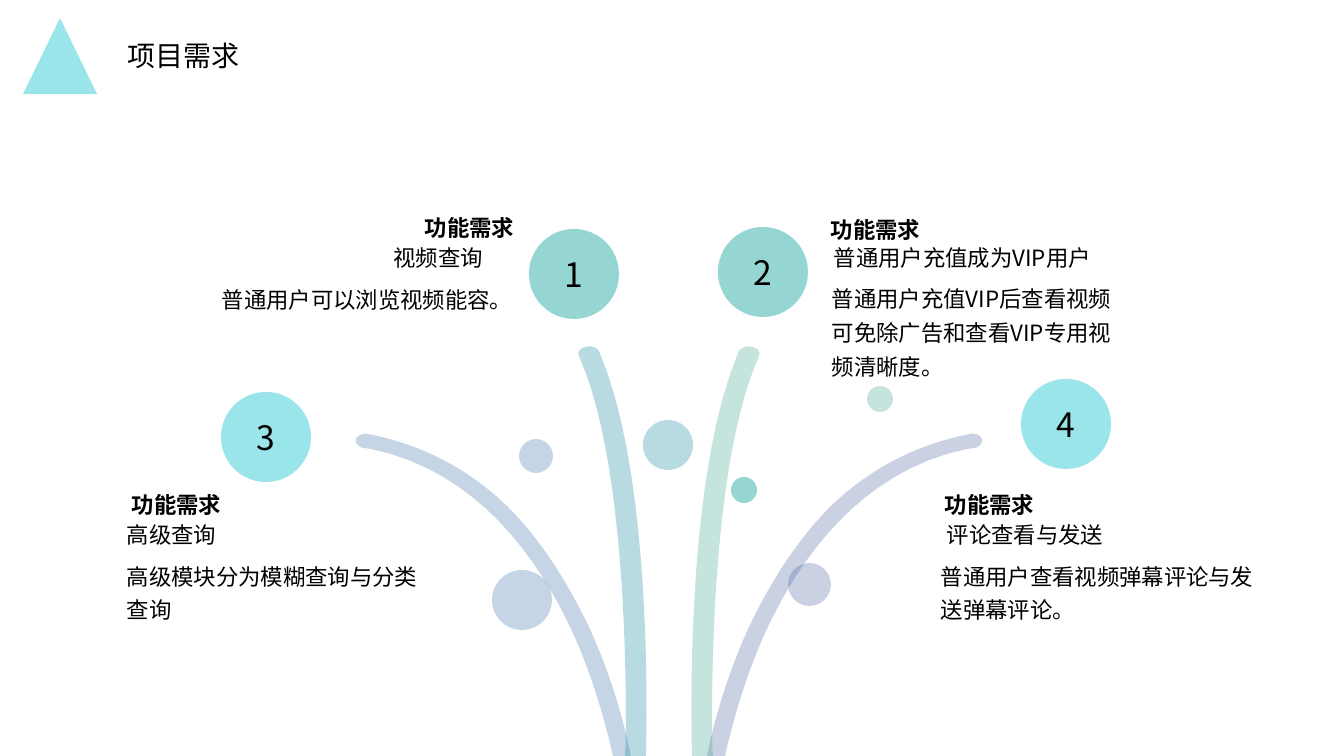
from lxml import etree
from pptx import Presentation
from pptx.dml.color import RGBColor
from pptx.enum.shapes import MSO_SHAPE
from pptx.enum.text import MSO_ANCHOR, MSO_AUTO_SIZE, PP_ALIGN
from pptx.oxml.ns import qn
from pptx.util import Pt

OVAL, TRIANGLE = MSO_SHAPE.OVAL, MSO_SHAPE.ISOSCELES_TRIANGLE
LEFT, CENTER, RIGHT = PP_ALIGN.LEFT, PP_ALIGN.CENTER, PP_ALIGN.RIGHT
TOP, MIDDLE = MSO_ANCHOR.TOP, MSO_ANCHOR.MIDDLE

PX = 914400 / 100.8
FONT = "Noto Sans CJK SC"
BLACK = RGBColor(0x00, 0x00, 0x00)
CYAN = RGBColor(0x9A, 0xE5, 0xE9)
MINT = RGBColor(0x96, 0xD6, 0xD2)
RIM = RGBColor(0xA4, 0xE2, 0xFE)
BLUE = RGBColor(0x42, 0x76, 0xAA)
INDIGO = RGBColor(0x52, 0x68, 0xA5)
TEAL = RGBColor(0x17, 0x8A, 0xA1)
GREEN = RGBColor(0x40, 0xA6, 0x93)

# Stem outlines: a start point, then cubic segments (three points) or lines (one)
OUTER_STEM = [
    [(589, 627)],
    [(566, 579), (539, 538), (508, 507)],
    [(468, 468), (420, 444), (368, 434)],
    [(363, 433), (358, 435), (356, 439)],
    [(355, 443), (359, 447), (363, 448)],
    [(366, 448), (369, 449), (371, 449)],
    [(478, 471), (539, 560), (572, 631)],
    [(594, 679), (606, 726), (613, 756)],
    [(631, 756)],
    [(625, 726), (612, 677), (589, 627)],
]
INNER_STEM = [
    [(599, 351)],
    [(597, 348), (591, 345), (586, 347)],
    [(580, 348), (577, 352), (579, 356)],
    [(584, 368), (589, 381), (593, 395)],
    [(620, 487), (625, 619), (626, 705)],
    [(626, 725), (626, 742), (625, 756)],
    [(646, 756)],
    [(648, 672), (647, 462), (599, 351)],
]
MIRROR_SUM = 1338  # a point and its mirror image add up to this x
CURVE_STEPS = 16

# left, top, colour, number
BADGES = [
    (221, 392, CYAN, "3"),
    (718, 227, MINT, "2"),
    (529, 229, MINT, "1"),
    (1021, 379, CYAN, "4"),
]
BADGE_SIZE = 90

# Each requirement: heading, name and description as (text, left, top, width, height)
REQUIREMENTS = [
    (("功能需求", 415, 209, 120, 37),
     ("视频查询", 294, 246, 199, 29),
     ("普通用户可以浏览视频能容。", 196, 274, 304, 44), RIGHT),
    (("功能需求", 821, 211, 120, 37),
     ("普通用户充值成为VIP用户", 824, 246, 313, 29),
     ("普通用户充值VIP后查看视频可免除广告和查看VIP专用视频清晰度。",
      822, 274, 302, 112), LEFT),
    (("功能需求", 122, 486, 120, 37),
     ("高级查询", 117, 523, 214, 29),
     ("高级模块分为模糊查询与分类查询", 117, 551, 329, 78), LEFT),
    (("功能需求", 935, 486, 120, 37),
     ("评论查看与发送", 937, 523, 233, 29),
     ("普通用户查看视频弹幕评论与发送弹幕评论。", 931, 551, 339, 78), LEFT),
]

# left, top, diameter, colour, opacity in percent
DOTS = [
    (492, 570, 60, BLUE, 30),
    (731, 477, 26, MINT, 100),
    (643, 420, 50, TEAL, 30),
    (788, 563, 43, INDIGO, 30),
    (867, 386, 26, GREEN, 30),
    (519, 439, 34, BLUE, 30),
]


def px(length):
    return round(length * PX)


def paint(fill, color, opacity=100):
    fill.solid()
    fill.fore_color.rgb = color
    if opacity < 100:
        rgb = fill._xPr.find(qn("a:solidFill")).find(qn("a:srgbClr"))
        etree.SubElement(rgb, qn("a:alpha")).set("val", str(opacity * 1000))


def write(shape, text, size, align=LEFT, anchor=TOP, bold=False, spacing=1.0):
    frame = shape.text_frame
    frame.word_wrap = True
    frame.auto_size = MSO_AUTO_SIZE.NONE
    frame.vertical_anchor = anchor
    frame.text = text
    paragraph = frame.paragraphs[0]
    paragraph.alignment = align
    paragraph.line_spacing = spacing
    font = paragraph.font
    font.size, font.bold, font.name = Pt(size), bold, FONT
    font.color.rgb = BLACK
    # East Asian typeface
    defaults = paragraph._p.pPr.find(qn("a:defRPr"))
    etree.SubElement(defaults, qn("a:ea")).set("typeface", FONT)


def add_figure(slide, kind, left, top, width, height, color, opacity=100):
    figure = slide.shapes.add_shape(kind, px(left), px(top), px(width), px(height))
    figure.shadow.inherit = False
    paint(figure.fill, color, opacity)
    figure.line.fill.background()
    return figure


def add_badge(slide, left, top, color, number):
    badge = add_figure(slide, OVAL, left, top, BADGE_SIZE, BADGE_SIZE, color)
    badge.line.width = Pt(0.25)
    paint(badge.line.fill, RIM, 30)
    write(badge, number, 24, CENTER, MIDDLE)


def add_text(slide, entry, **style):
    text, left, top, width, height = entry
    box = slide.shapes.add_textbox(px(left), px(top), px(width), px(height))
    write(box, text, 16, **style)


def trace(outline):
    points = list(outline[0])
    for segment in outline[1:]:
        if len(segment) == 1:
            points += segment
            continue
        controls = [points[-1], *segment]
        for step in range(1, CURVE_STEPS + 1):
            t = step / CURVE_STEPS
            weights = ((1 - t) ** 3, 3 * t * (1 - t) ** 2, 3 * t * t * (1 - t), t ** 3)
            points.append(tuple(sum(w * c[axis] for w, c in zip(weights, controls))
                                for axis in (0, 1)))
    return points


def add_stem(slide, outline, color, mirrored=False):
    points = [(px(MIRROR_SUM - x if mirrored else x), px(y)) for x, y in trace(outline)]
    builder = slide.shapes.build_freeform(*points[0])
    builder.add_line_segments(points[1:], close=True)
    stem = builder.convert_to_shape()
    stem.shadow.inherit = False
    paint(stem.fill, color, 30)
    stem.line.fill.background()


def main():
    deck = Presentation()
    deck.slide_width, deck.slide_height = px(1344), px(756)
    slide = deck.slides.add_slide(deck.slide_layouts[5])

    # Title with its triangle
    title = slide.shapes.title
    title.left, title.top, title.width, title.height = px(117), px(33), px(256), px(44)
    write(title, "项目需求", 20, anchor=MIDDLE)
    add_figure(slide, TRIANGLE, 23, 18, 74, 76, CYAN)

    # Stems, each with its mirror partner
    add_stem(slide, OUTER_STEM, BLUE)
    add_stem(slide, OUTER_STEM, INDIGO, mirrored=True)
    add_stem(slide, INNER_STEM, TEAL)
    add_stem(slide, INNER_STEM, GREEN, mirrored=True)

    # Numbered badges
    for badge in BADGES:
        add_badge(slide, *badge)

    # Requirement texts
    for heading, name, description, align in REQUIREMENTS:
        add_text(slide, heading, bold=True)
        add_text(slide, name, align=align, spacing=0.7)
        add_text(slide, description, align=align, spacing=1.25)

    # Loose dots
    for left, top, size, color, opacity in DOTS:
        add_figure(slide, OVAL, left, top, size, size, color, opacity)

    deck.save("out.pptx")


if __name__ == "__main__":
    main()
